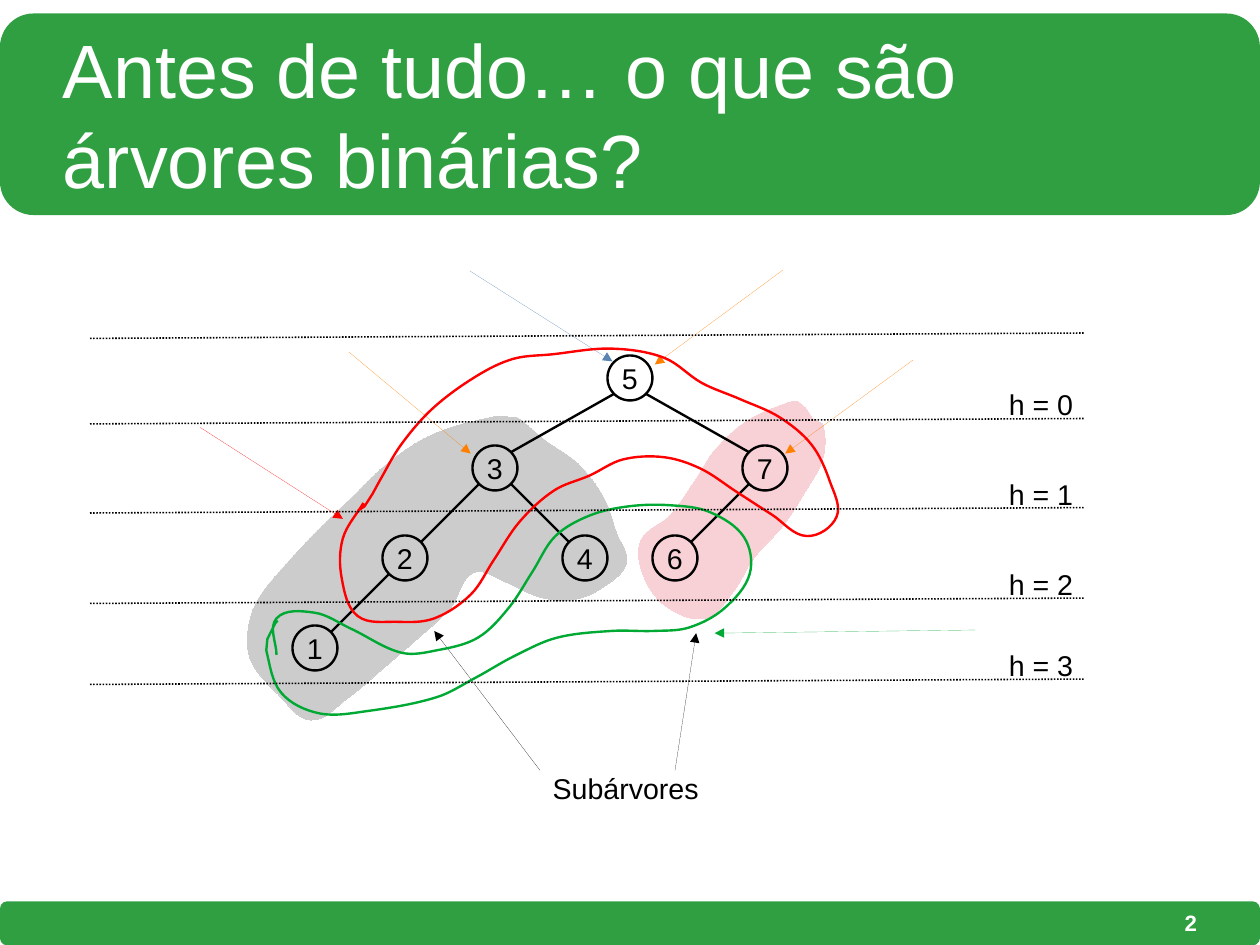
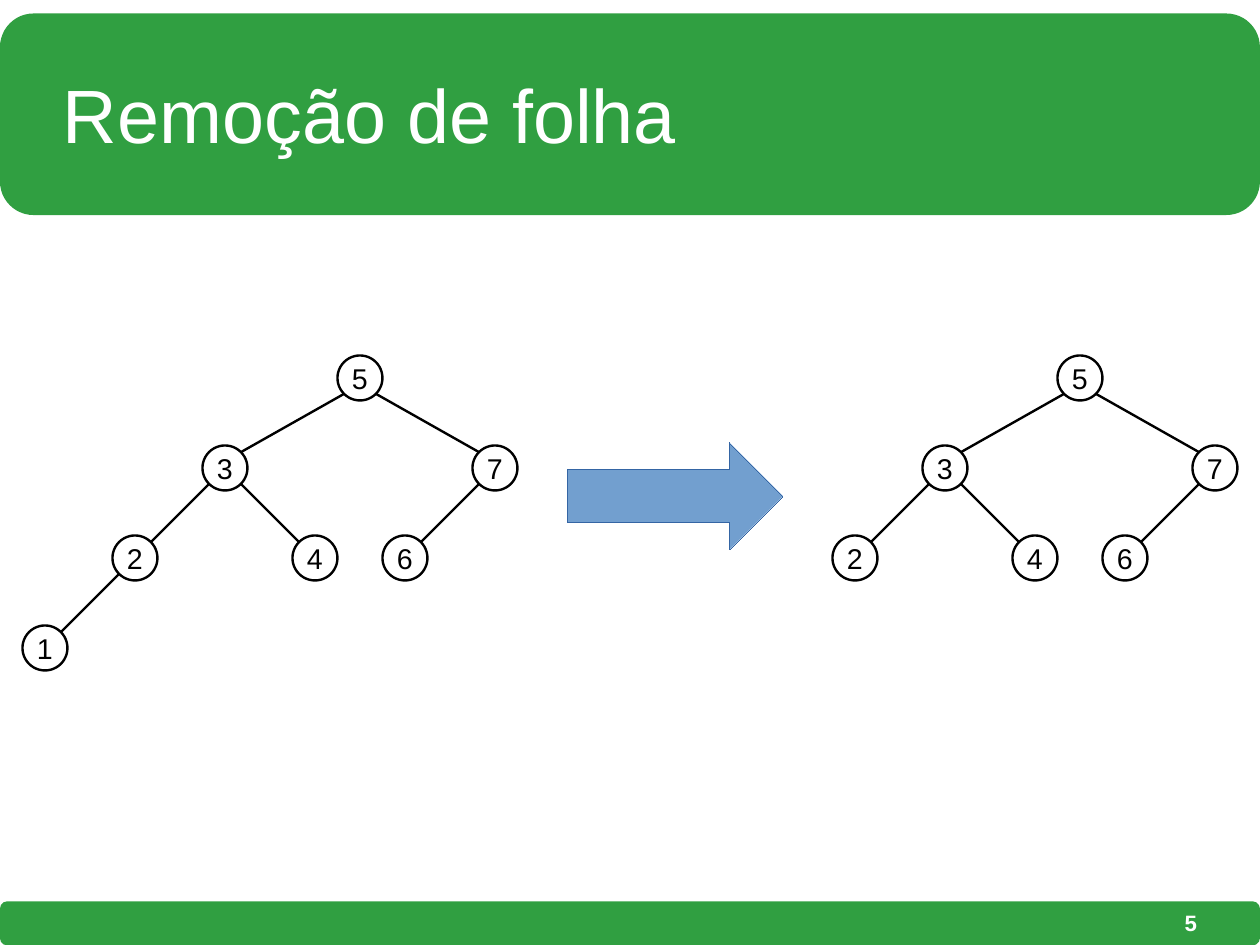
from dataclasses import dataclass
from math import hypot
from typing import Optional

from lxml import etree
from pptx import Presentation
from pptx.dml.color import RGBColor
from pptx.enum.dml import MSO_LINE
from pptx.enum.shapes import MSO_CONNECTOR, MSO_SHAPE
from pptx.enum.text import MSO_ANCHOR, PP_ALIGN
from pptx.oxml.ns import qn
from pptx.util import Cm, Inches, Pt

# The page is a grid of 28 columns and 21 rows of one centimetre.
COLUMNS, ROWS = 28, 21
FONT = "Arial"
GREEN, WHITE, BLACK = "309F41", "FFFFFF", "000000"
ORANGE, RED, LEAF_GREEN = "FF8000", "FF0000", "00A933"
GREY, PINK = "CCCCCC", "F7D1D5"
ROUNDED, OVAL, BLOCK_ARROW = (
    MSO_SHAPE.ROUNDED_RECTANGLE, MSO_SHAPE.OVAL, MSO_SHAPE.RIGHT_ARROW)
STRAIGHT, DOTTED = MSO_CONNECTOR.STRAIGHT, MSO_LINE.ROUND_DOT
LEFT, CENTER, RIGHT = PP_ALIGN.LEFT, PP_ALIGN.CENTER, PP_ALIGN.RIGHT
TOP, MIDDLE = MSO_ANCHOR.TOP, MSO_ANCHOR.MIDDLE

HAIRLINE, TREE_LINE = 0, 1.5
DIAGONAL = 0.35  # from a node's centre to its diagonal edge points
TITLE_STYLE = {"size": Pt(47.6), "name": FONT}
BODY_STYLE = {"size": Pt(18), "name": FONT}
NUMBER_STYLE = {"size": Pt(14), "name": FONT, "bold": True}

Point = tuple[float, float]


@dataclass(frozen=True)
class Node:
    """A tree node: column and row of its centre, relative to the root."""
    key: str
    column: float
    row: float
    parent: Optional[str] = None


@dataclass(frozen=True)
class Pointer:
    start: Point
    end: Point
    color: str


@dataclass(frozen=True)
class Outline:
    """A curve through points in inches, ending in some straight segments."""
    points: tuple[Point, ...]
    color: str
    straight: int
    filled: bool = False


TREE = (
    Node("5", 0, 0),
    Node("3", -3, 2, "5"), Node("7", 3, 2, "5"),
    Node("2", -5, 4, "3"), Node("4", -1, 4, "3"), Node("6", 1, 4, "7"),
    Node("1", -7, 6, "2"),
)
ROOT_ROW = 8.4

SUBTREES = (
    Outline((
        (6.9, 3.52), (6.54, 3.68), (6.26, 3.93), (6.07, 4.22), (5.86, 4.51),
        (5.61, 4.72), (5.62, 5.01), (5.82, 5.3), (6.17, 5.41), (6.42, 5.17),
        (6.59, 4.89), (6.85, 4.6), (7.04, 4.31), (7.2, 4.01), (7.2, 3.71),
        (7.11, 3.66), (7.05, 3.57), (6.98, 3.51), (6.9, 3.52)), PINK, 4, True),
    Outline((
        (4.37, 3.64), (3.98, 3.73), (3.67, 3.86), (3.36, 4.08), (3.08, 4.35),
        (2.78, 4.64), (2.5, 4.94), (2.26, 5.24), (2.17, 5.51), (2.2, 5.79),
        (2.43, 6.07), (2.72, 6.3), (3.04, 6.11), (3.35, 5.85), (3.65, 5.59),
        (3.94, 5.32), (4.14, 5.01), (4.42, 5.09), (4.71, 5.22), (4.99, 5.25),
        (5.24, 5.16), (5.48, 4.93), (5.39, 4.65), (5.28, 4.35), (5.06, 4.06),
        (4.78, 3.86), (4.52, 3.65), (4.46, 3.65), (4.37, 3.64)), GREY, 2, True),
)
INNER_NODES = Outline((
    (3.18, 4.4), (3, 4.71), (2.99, 5.06), (3.13, 5.39), (3.48, 5.44),
    (3.8, 5.41), (4.12, 5.2), (4.32, 4.9), (4.55, 4.56), (4.85, 4.29),
    (5.16, 4.16), (5.45, 4.02), (5.81, 4), (6.13, 4.1), (6.44, 4.3),
    (6.75, 4.5), (7.06, 4.69), (7.32, 4.52), (7.26, 4.21), (7.1, 3.89),
    (6.82, 3.65), (6.47, 3.49), (6.14, 3.35), (5.81, 3.13), (5.35, 3.05),
    (4.83, 3.1), (4.49, 3.14), (4.17, 3.29), (3.79, 3.57), (3.51, 3.89),
    (3.32, 4.21), (3.26, 4.32), (3.19, 4.43), (3.13, 4.47)), RED, 3)
LEAVES = Outline((
    (2.42, 5.73), (2.42, 5.41), (2.75, 5.36), (3.07, 5.5), (3.51, 5.71),
    (3.82, 5.69), (4.18, 5.58), (4.45, 5.32), (4.66, 5), (4.86, 4.69),
    (5.16, 4.51), (5.5, 4.43), (5.86, 4.42), (6.21, 4.48), (6.51, 4.7),
    (6.56, 5.02), (6.34, 5.32), (6.03, 5.49), (5.72, 5.52), (5.35, 5.52),
    (4.87, 5.58), (4.5, 5.74), (4.16, 5.93), (3.82, 6.1), (3.22, 6.22),
    (2.79, 6.24), (2.46, 6.06), (2.33, 5.69), (2.34, 5.59), (2.41, 5.45),
    (2.43, 5.43)), LEAF_GREEN, 3)

SUBTREE_POINTERS = (
    Pointer((12, 17.12), (9.65, 14.02), BLACK),
    Pointer((15, 17.12), (15.47, 14.07), BLACK),
)
NODE_POINTERS = (
    Pointer((10.44, 6.02), (13.61, 8.03), "5983B0"),
    Pointer((17.4, 6), (14.55, 8.1), ORANGE),
    Pointer((20.29, 8), (17.45, 10.08), ORANGE),
    Pointer((7.75, 7.82), (10.46, 10.08), ORANGE),
)
OUTLINE_POINTERS = (
    (INNER_NODES, Pointer((4.45, 9.5), (7.62, 11.53), RED)),
    (LEAVES, Pointer((21.67, 14), (15.88, 14.07), LEAF_GREEN)),
)
LEVEL_ROWS = (7.52, 9.42, 11.4, 13.41, 15.21)
LEVEL_LEFT, LEVEL_RIGHT, LEVEL_RISE = 2, 24.08, 0.12


def rgb(color: str) -> RGBColor:
    return RGBColor.from_string(color)


def draw_line(line, color: str, width: float) -> None:
    """Colour a line; a zero width is written out, as a hairline needs it."""
    line.color.rgb = rgb(color)
    line._get_or_add_ln().set("w", str(int(Pt(width))))


def paint(shape, fill: Optional[str], line: Optional[str], width: float = 0) -> None:
    shape.shadow.inherit = False
    if fill:
        shape.fill.solid()
        shape.fill.fore_color.rgb = rgb(fill)
    else:
        shape.fill.background()
    if line:
        draw_line(shape.line, line, width)
    else:
        shape.line.fill.background()


def write(shape, text: str, style: dict, color: str = BLACK, align=LEFT,
          anchor=TOP, wrap: bool = False, inset: Point = (0.25, 0.13)) -> None:
    """Fill the shape with one paragraph; inset is sideways and vertical."""
    frame = shape.text_frame
    side, vertical = (Cm(value) for value in inset)
    layout = {"word_wrap": wrap, "vertical_anchor": anchor,
              "margin_left": side, "margin_right": side,
              "margin_top": vertical, "margin_bottom": vertical}
    for name, value in layout.items():
        setattr(frame, name, value)
    para = frame.paragraphs[0]
    para.alignment = align
    span = para.add_run()
    span.text = text
    for name, value in style.items():
        setattr(span.font, name, value)
    span.font.color.rgb = rgb(color)


def add_box(page, left: float, top: float, width: float, height: float):
    return page.shapes.add_textbox(Cm(left), Cm(top), Cm(width), Cm(height))


def add_preset(page, kind, left: float, top: float, width: float, height: float):
    return page.shapes.add_shape(kind, Cm(left), Cm(top), Cm(width), Cm(height))


def add_line(page, start: Point, end: Point, color: str, width: float):
    line = page.shapes.add_connector(
        STRAIGHT, *(Cm(value) for value in (*start, *end)))
    draw_line(line.line, color, width)
    etree.SubElement(line._element.spPr, qn("a:effectLst"))
    return line


def add_pointer(page, pointer: Pointer) -> None:
    line = add_line(page, pointer.start, pointer.end, pointer.color, HAIRLINE)
    etree.SubElement(line.line._get_or_add_ln(), qn("a:tailEnd"), type="triangle")


def handle(knot: Point, before: Point, after: Point, reach: float) -> Point:
    """Control point of a knot, along the line between its neighbours."""
    x, y = after[0] - before[0], after[1] - before[1]
    share = reach / (hypot(x, y) or 1)
    return knot[0] + x * share, knot[1] + y * share


def add_outline(page, outline: Outline) -> None:
    points = outline.points
    corners = [(Inches(x), Inches(y)) for x, y in points]
    builder = page.shapes.build_freeform(*corners[0])
    builder.add_line_segments(corners[1:], close=outline.filled)
    shape = builder.convert_to_shape()
    paint(shape, outline.color if outline.filled else None,
          outline.color, HAIRLINE if outline.filled else TREE_LINE)

    knots = (points[-2] if outline.filled else points[0], *points)
    segments = list(shape._element.iter(qn("a:lnTo")))[:-outline.straight]
    for segment, a, b, c, d in zip(segments, knots, knots[1:], knots[2:], knots[3:]):
        reach = hypot(c[0] - b[0], c[1] - b[1]) / 3
        curve = etree.Element(qn("a:cubicBezTo"))
        for x, y in (handle(b, a, c, reach), handle(c, b, d, -reach), c):
            etree.SubElement(curve, qn("a:pt"), x=str(Inches(x) - shape.left),
                             y=str(Inches(y) - shape.top))
        segment.getparent().replace(segment, curve)


def add_tree(page, root_column: float, nodes: tuple[Node, ...]) -> None:
    centers = {node.key: (root_column + node.column, ROOT_ROW + node.row)
               for node in nodes}
    for node in nodes:
        x, y = centers[node.key]
        circle = add_preset(page, OVAL, x - 0.5, y - 0.5, 1, 1)
        paint(circle, None, BLACK, TREE_LINE)
        write(circle, node.key, BODY_STYLE, align=CENTER, anchor=MIDDLE,
              inset=(0.28, 0.15))
        if node.parent:
            parent_x, parent_y = centers[node.parent]
            reach = DIAGONAL if x > parent_x else -DIAGONAL
            add_line(page, (parent_x + reach, parent_y + DIAGONAL),
                     (x - reach, y - DIAGONAL), BLACK, TREE_LINE)


def add_levels(page) -> None:
    """Dotted level lines, each but the first with its height above it."""
    for index, row in enumerate(LEVEL_ROWS):
        right_row = row - LEVEL_RISE
        line = add_line(page, (LEVEL_LEFT, row), (LEVEL_RIGHT, right_row), BLACK, 1)
        line.line.dash_style = DOTTED
        if index:
            label = add_box(page, 22.17, right_row - 0.82, 1.93, 0.97)
            write(label, f"h = {index - 1}", BODY_STYLE)


def add_page(deck, title: str, number: int):
    page = deck.slides.add_slide(deck.slide_layouts[6])
    for top, height in ((20.03, 0.98), (0.3, 4.48)):
        band = add_preset(page, ROUNDED, 0, top, COLUMNS, height)
        band.adjustments[0] = 0.167
        paint(band, GREEN, None)
    write(add_box(page, 1.4, 0.72, 25.2, 3.6), title, TITLE_STYLE,
          WHITE, anchor=MIDDLE, wrap=True, inset=(0, 0))
    write(add_box(page, 20.1, 20, 6.5, 1), str(number), NUMBER_STYLE, WHITE,
          align=RIGHT, anchor=MIDDLE, wrap=True, inset=(0, 0))
    return page


def build_definition(deck) -> None:
    page = add_page(deck, "Antes de tudo… o que são árvores binárias?", 2)
    for subtree in SUBTREES:
        add_outline(page, subtree)
    write(add_box(page, 10.03, 17, 7.75, 0.97), "Subárvores", BODY_STYLE,
          align=CENTER, wrap=True)
    for pointer in SUBTREE_POINTERS:
        add_pointer(page, pointer)
    add_tree(page, COLUMNS / 2, TREE)
    for pointer in NODE_POINTERS:
        add_pointer(page, pointer)
    for outline, pointer in OUTLINE_POINTERS:
        add_outline(page, outline)
        add_pointer(page, pointer)
    add_levels(page)


def build_leaf_removal(deck) -> None:
    page = add_page(deck, "Remoção de folha", 5)
    add_tree(page, 8, TREE)
    add_tree(page, 24, TREE[:-1])
    arrow = add_preset(page, BLOCK_ARROW, 12.62, 9.83, 4.78, 2.39)
    paint(arrow, "729FCF", "3465A4", HAIRLINE)


def main() -> None:
    deck = Presentation()
    deck.slide_width, deck.slide_height = Cm(COLUMNS), Cm(ROWS)
    build_definition(deck)
    build_leaf_removal(deck)
    deck.save("out.pptx")


if __name__ == "__main__":
    main()
